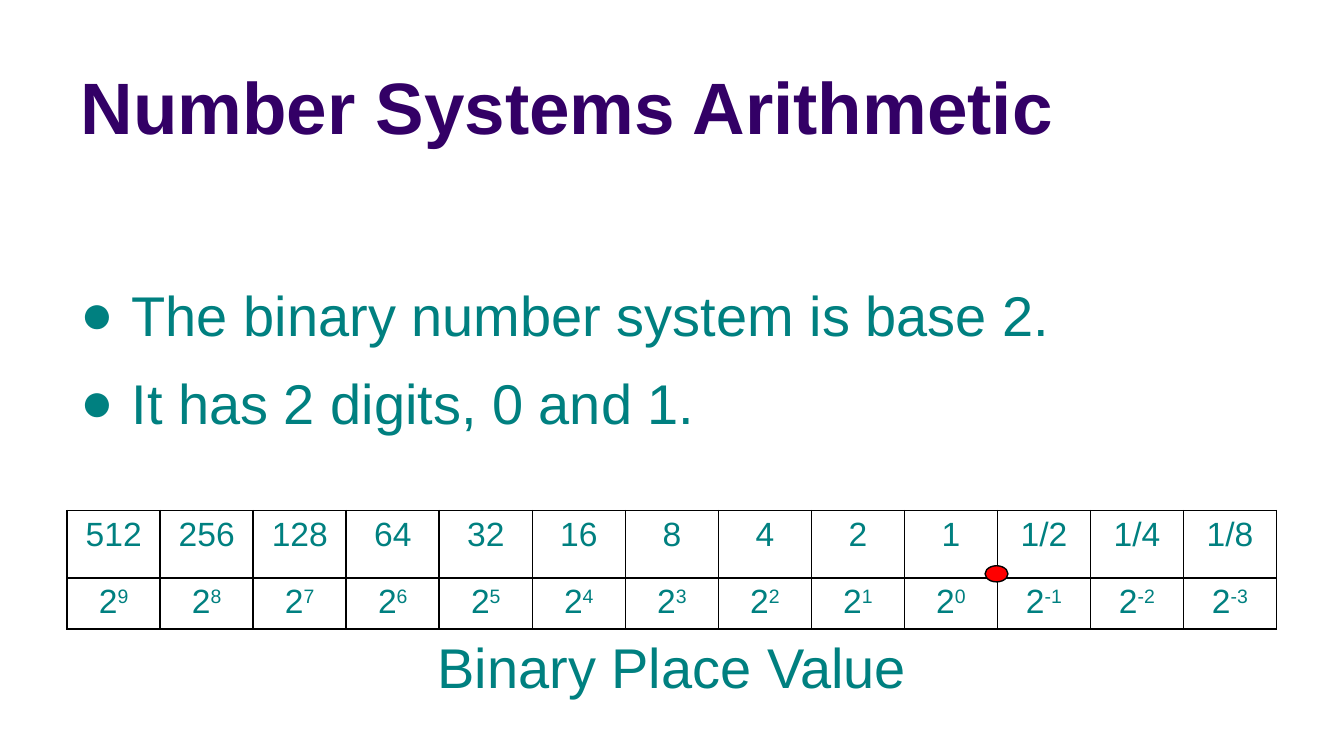
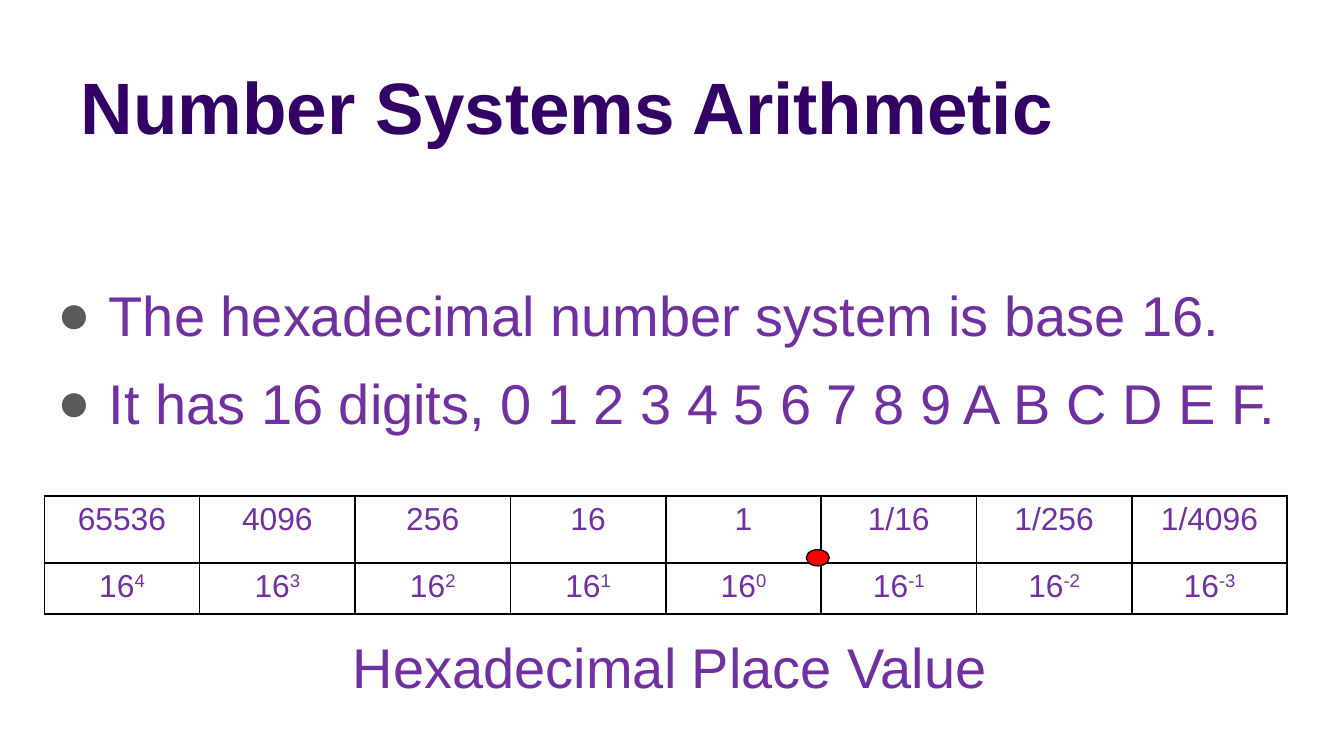
"""Build two slides on binary and hexadecimal place value."""
from lxml.etree import SubElement
from pptx import Presentation
from pptx.dml.color import RGBColor
from pptx.enum.shapes import MSO_SHAPE
from pptx.enum.text import MSO_ANCHOR, MSO_AUTO_SIZE, PP_ALIGN
from pptx.oxml.ns import qn
from pptx.util import Inches, Pt

COLORS = {
    "title": "330066",
    "binary": "008080",
    "hex": "7030A0",
    "hex_bullet": "595959",
    "point": "FF0000",
    "line": "000000",
}
FONT = "Arial"


class Deck:
    def __init__(self):
        self.prs = Presentation()
        self.prs.slide_width = Inches(10)
        self.prs.slide_height = Inches(10 * 9 / 16)

    def color(self, name):
        return RGBColor.from_string(COLORS[name])

    def run(self, p, text, size, color, bold=False, raised=False):
        r = p.add_run()
        r.text = text
        r.font.name = FONT
        r.font.size = Pt(size)
        r.font.bold = bold
        r.font.color.rgb = self.color(color)
        if raised:
            r.font._element.set("baseline", "30000")

    def place(self, sp, left, top, width, height):
        sp.left, sp.top = Inches(left), Inches(top)
        sp.width, sp.height = Inches(width), Inches(height)

    def add_slide(self, title):
        self.slide = self.prs.slides.add_slide(self.prs.slide_layouts[1])
        sp = self.slide.shapes.title
        self.place(sp, 0.5, 0.1, 8.25, 1.06)
        tf = sp.text_frame
        tf.auto_size = MSO_AUTO_SIZE.NONE
        tf.vertical_anchor = MSO_ANCHOR.BOTTOM
        p = tf.paragraphs[0]
        p.alignment = PP_ALIGN.LEFT
        self.run(p, title, 39, "title", bold=True)

    def bullet(self, p, color):
        pPr = p._p.get_or_add_pPr()
        pPr.set("marL", str(Inches(0.38)))
        pPr.set("indent", str(-Inches(0.38)))
        clr = SubElement(pPr, qn("a:buClr"))
        SubElement(clr, qn("a:srgbClr"), val=COLORS[color])
        SubElement(pPr, qn("a:buChar"), char="●")

    def body(self, left, width, points, caption, color, bullet_color):
        sp = self.slide.placeholders[1]
        self.place(sp, left, 1.38, width, 2.84)
        tf = sp.text_frame
        tf.auto_size = MSO_AUTO_SIZE.NONE
        tf.margin_top = Inches(0.63)
        for i, text in enumerate(points + [caption]):
            p = tf.paragraphs[0] if i == 0 else tf.add_paragraph()
            p.line_spacing = 1.15
            p.space_before = Pt(6 if i else 0)
            if i < len(points):
                p.alignment = PP_ALIGN.LEFT
                self.bullet(p, bullet_color)
            else:
                p.alignment = PP_ALIGN.CENTER
                p.space_before = Pt(100)
                pPr = p._p.get_or_add_pPr()
                pPr.set("marL", "0")
                pPr.set("indent", "0")
                SubElement(pPr, qn("a:buNone"))
            self.run(p, text, 30, color)

    def border(self, cell):
        tcPr = cell._tc.get_or_add_tcPr()
        for i, side in enumerate(("lnL", "lnR", "lnT", "lnB")):
            ln = tcPr.makeelement(qn("a:" + side), {"w": str(Pt(1))})
            fill = SubElement(ln, qn("a:solidFill"))
            SubElement(fill, qn("a:srgbClr"), val=COLORS["line"])
            tcPr.insert(i, ln)

    def cell(self, cell, parts, size, color):
        cell.fill.background()
        cell.margin_left = cell.margin_right = Inches(0.1)
        cell.margin_top = cell.margin_bottom = Inches(0.04)
        p = cell.text_frame.paragraphs[0]
        p.alignment = PP_ALIGN.CENTER
        for i, text in enumerate(parts):
            self.run(p, text, size, color, raised=i == 1)
        self.border(cell)

    def place_values(self, left, top, width, base, high, low, size, color):
        powers = range(high, low - 1, -1)
        table = self.slide.shapes.add_table(
            2, len(powers), Inches(left), Inches(top), Inches(width), Inches(0.88)
        ).table
        table.first_row = table.horz_banding = False
        table.rows[0].height = Inches(0.5)
        table.rows[1].height = Inches(0.38)
        for col, power in enumerate(powers):
            table.columns[col].width = Inches(width / len(powers))
            value = str(base ** power) if power >= 0 else f"1/{base ** -power}"
            self.cell(table.cell(0, col), [value], size, color)
            self.cell(table.cell(1, col), [str(base), str(power)], size, color)

    def radix_point(self, left, top):
        sp = self.slide.shapes.add_shape(
            MSO_SHAPE.OVAL, Inches(left), Inches(top), Inches(0.17), Inches(0.12)
        )
        sp.shadow.inherit = False
        sp.fill.solid()
        sp.fill.fore_color.rgb = self.color("point")
        sp.line.color.rgb = self.color("line")
        sp.line.width = Pt(0.75)


deck = Deck()

deck.add_slide("Number Systems Arithmetic")
deck.body(
    0.5, 9,
    ["The binary number system is base 2.", "It has 2 digits, 0 and 1."],
    "Binary Place Value", "binary", "binary",
)
deck.place_values(0.5, 3.8, 9, 2, 9, -3, 18, "binary")
deck.radix_point(7.33, 4.21)

deck.add_slide("Number Systems Arithmetic")
deck.body(
    0.33, 9.31,
    ["The hexadecimal number system is base 16.",
     "It has 16 digits, 0 1 2 3 4 5 6 7 8 9 A B C D E F."],
    "Hexadecimal Place Value", "hex", "hex_bullet",
)
deck.place_values(0.33, 3.69, 9.25, 16, 4, -3, 17, "hex")
deck.radix_point(6, 4.09)

deck.prs.save("out.pptx")
